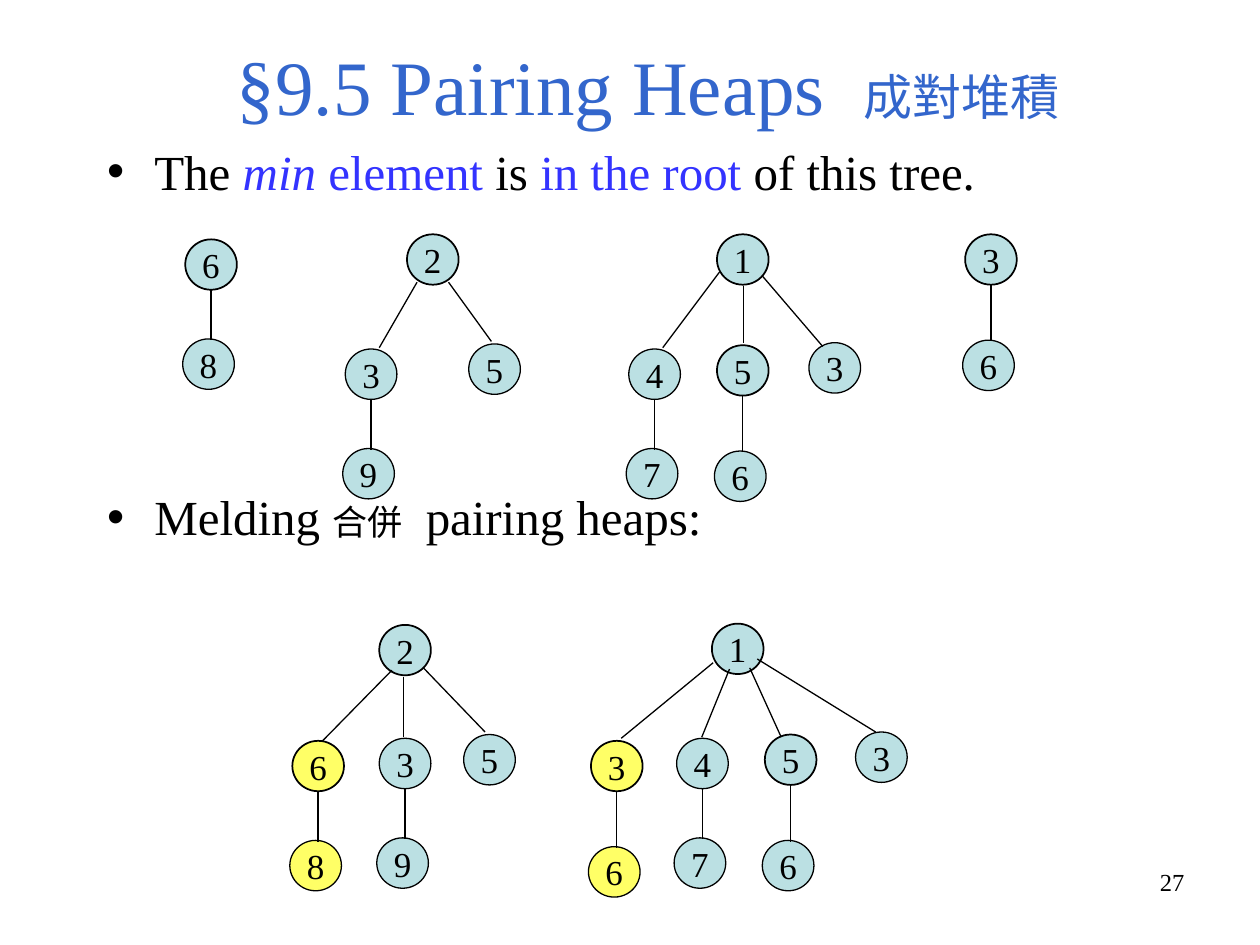
from lxml import etree
from pptx import Presentation
from pptx.dml.color import RGBColor
from pptx.enum.shapes import MSO_CONNECTOR, MSO_SHAPE
from pptx.enum.text import MSO_ANCHOR, MSO_AUTO_SIZE, PP_ALIGN
from pptx.oxml.ns import qn
from pptx.util import Inches, Pt

ELLIPSE, STRAIGHT = MSO_SHAPE.OVAL, MSO_CONNECTOR.STRAIGHT
CENTER, RIGHT = PP_ALIGN.CENTER, PP_ALIGN.RIGHT
TOP, MIDDLE, BOTTOM = MSO_ANCHOR.TOP, MSO_ANCHOR.MIDDLE, MSO_ANCHOR.BOTTOM
FIXED = MSO_AUTO_SIZE.NONE
FONT = "Times New Roman"
COLORS = {
    "title": "3366CC",
    "accent": "3333FF",
    "ink": "000000",
    "node": "BBE0E3",
    "melded": "FFFF66",
}
THICK, THIN = 1, 0.75
NODE_WIDTH, NODE_HEIGHT = 4.1, 4

deck = Presentation()
deck.slide_width, deck.slide_height = Inches(10), Inches(7.5)
column, row = deck.slide_width / 100, deck.slide_height / 75
page = deck.slides.add_slide(deck.slide_layouts[1])


def add_runs(para, runs):
    for text, size, color, italic, spacing in runs:
        span = para.add_run()
        span.text = text
        span.font.name = FONT
        span.font.size = Pt(size)
        span.font.italic = italic
        span.font.color.rgb = RGBColor.from_string(COLORS[color])
        if spacing:
            span.font._element.set("spc", str(spacing * 100))


def add_node(label, left, top, weight, fill):
    node = page.shapes.add_shape(
        ELLIPSE, round(left * column), round(top * row),
        round(NODE_WIDTH * column), round(NODE_HEIGHT * row))
    node.shadow.inherit = False
    node.fill.solid()
    node.fill.fore_color.rgb = RGBColor.from_string(COLORS[fill])
    node.line.color.rgb = RGBColor.from_string(COLORS["ink"])
    node.line.width = Pt(weight)
    frame = node.text_frame
    frame.word_wrap = False
    frame.vertical_anchor = MIDDLE
    frame.paragraphs[0].alignment = CENTER
    add_runs(frame.paragraphs[0], [(label, 20, "ink", False, 0)])


title, body = page.shapes.title, page.placeholders[1]
number = page.shapes.add_textbox(0, 0, 0, 0)
for box, left, top, width, height, anchor in [
    (title, 7.5, 3.5, 87.9, 7.4, BOTTOM),
    (body, 7.5, 10.7, 88.4, 54.3, TOP),
    (number, 71.7, 68.3, 23.3, 5.2, TOP),
]:
    box.left, box.top = round(left * column), round(top * row)
    box.width, box.height = round(width * column), round(height * row)
    box.text_frame.word_wrap = True
    box.text_frame.auto_size = FIXED
    box.text_frame.vertical_anchor = anchor

heading = title.text_frame.paragraphs[0]
heading.alignment = CENTER
add_runs(heading, [
    ("§9.5 Pairing Heaps", 44, "title", False, 0),
    (" ", 44, "title", False, 11),
    ("成對堆積", 28, "title", False, 0),
])

root_rule = body.text_frame.paragraphs[0]
root_rule.space_before = Pt(0)
add_runs(root_rule, [
    ("The ", 28, "ink", False, 0),
    ("min", 28, "accent", True, 0),
    (" element", 28, "accent", False, 0),
    (" is ", 28, "ink", False, 0),
    ("in the root", 28, "accent", False, 0),
    (" of this tree.", 28, "ink", False, 0),
])
melding = body.text_frame.add_paragraph()
melding.space_before = Pt(164)
add_runs(melding, [
    ("Melding ", 28, "ink", False, 0),
    ("合併", 20, "ink", False, 0),
    (" ", 28, "ink", False, 7),
    ("pairing heaps:", 28, "ink", False, 0),
])

page_number = number.text_frame.paragraphs[0]
page_number.alignment = RIGHT
add_runs(page_number, [("27", 14, "ink", False, 0)])

single_nodes = [
    ("2", 32.3, 18.6, THICK), ("5", 37.2, 27.3, THIN),
    ("1", 56.9, 18.6, THICK), ("3", 64.2, 27.2, THIN),
    ("2", 30.1, 49.6, THICK), ("5", 36.8, 58.3, THIN),
    ("1", 56.5, 49.5, THICK), ("3", 67.9, 58.1, THIN),
]
for label, left, top, weight in single_nodes:
    add_node(label, left, top, weight, "node")

edges = [
    (33.1, 22.4, 30.1, 27.6), (35.6, 22.4, 39, 27.1),
    (57.1, 21.6, 52.6, 27.6), (59, 22.7, 59, 27.2), (60.5, 21.9, 65.3, 27.5),
    (31.1, 53.2, 25.6, 58.8), (32, 53.7, 32, 58.5), (33.6, 53, 38.5, 58.1),
    (56.6, 52.6, 49.3, 58.6), (57.9, 53.1, 55.7, 58.5),
    (59.5, 53, 62, 58.5), (60.1, 52.3, 69.5, 58.1),
]
chains = [
    ("6", "8", 14.7, 19, 7.9, THICK, "node"),
    ("3", "9", 27.4, 27.7, 7.9, THIN, "node"),
    ("4", "7", 49.9, 27.7, 7.9, THIN, "node"),
    ("5", "6", 56.9, 27.4, 8.4, THICK, "node"),
    ("3", "6", 76.6, 18.6, 8.4, THICK, "node"),
    ("6", "8", 23.2, 58.8, 7.9, THICK, "melded"),
    ("3", "9", 30.1, 58.6, 7.9, THIN, "node"),
    ("3", "6", 46.9, 58.8, 8.4, THICK, "melded"),
    ("4", "7", 53.7, 58.6, 7.9, THIN, "node"),
    ("5", "6", 60.7, 58.3, 8.4, THICK, "node"),
]
for parent, child, left, top, drop, weight, fill in chains:
    add_node(parent, left, top, weight, fill)
    add_node(child, left - 0.2, top + drop, THIN, fill)
    stem = left + NODE_WIDTH / 2
    edges.append((stem, top + NODE_HEIGHT, stem, top + drop + 0.1))

for start_x, start_y, end_x, end_y in edges:
    edge = page.shapes.add_connector(
        STRAIGHT, round(start_x * column), round(start_y * row),
        round(end_x * column), round(end_y * row))
    edge.line.color.rgb = RGBColor.from_string(COLORS["ink"])
    edge.line.width = Pt(THIN)
    etree.SubElement(edge._element.spPr, qn("a:effectLst"))

deck.save("out.pptx")
